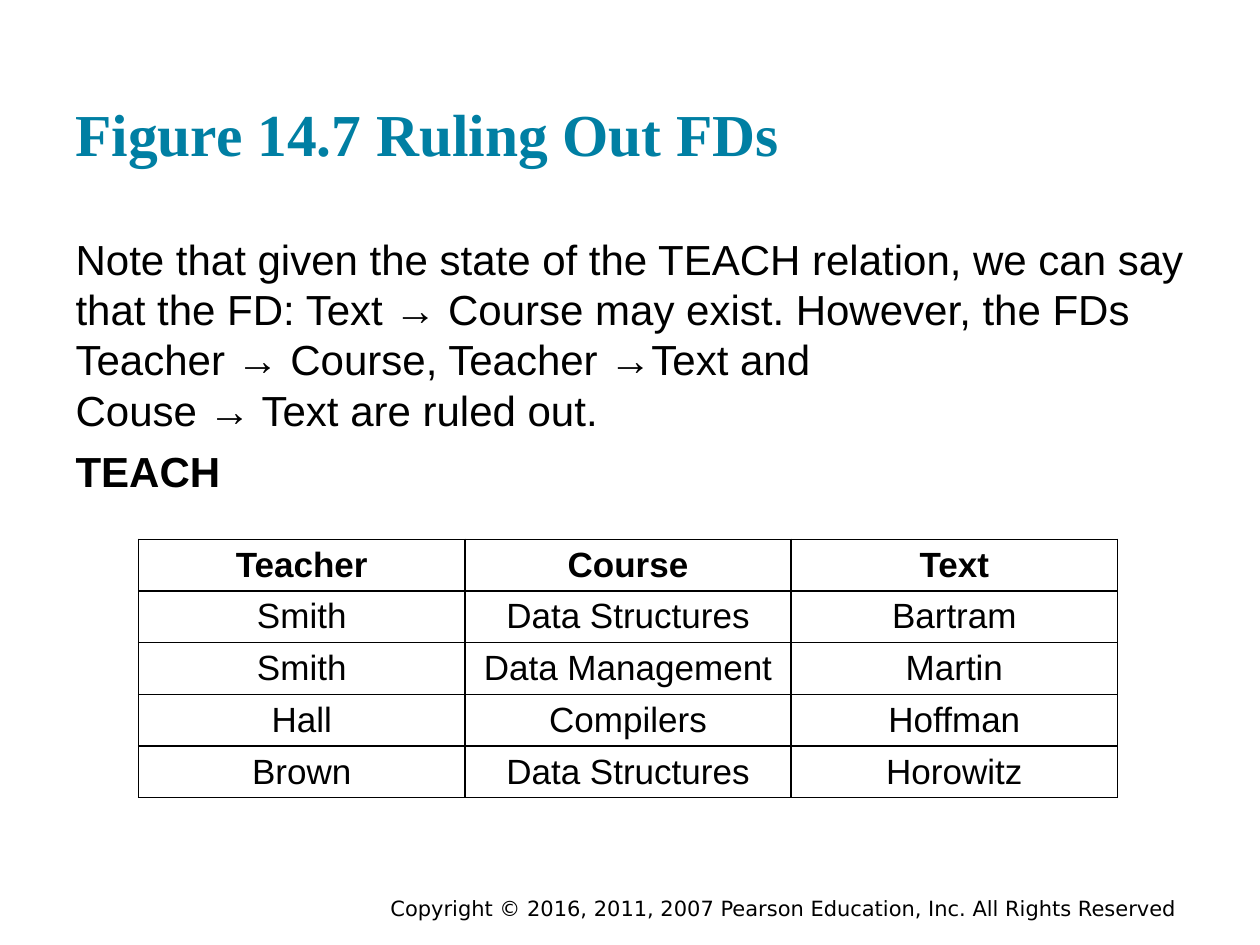
from pptx import Presentation, util as u
from pptx.dml import color
from pptx.enum import text
from pptx.oxml import ns, parse_xml

BLACK = "000000"
TEAL = "007FA3"


def rgb(value):
    return color.RGBColor.from_string(value)


class SlideBuilder:
    body_font = "Arial"
    title_font = "Times New Roman"
    footer_font = "DejaVu Sans"

    def __init__(self, slide):
        self.slide = slide

    def style(self, paragraph, font, size, fill=BLACK, bold=False, align=text.PP_ALIGN.LEFT):
        paragraph.alignment = align
        paragraph.font.name = font
        paragraph.font.size = u.Pt(size)
        paragraph.font.bold = bold
        paragraph.font.color.rgb = rgb(fill)

    def place(self, shape, box, anchor):
        shape.left, shape.top, shape.width, shape.height = map(u.Inches, box)
        frame = shape.text_frame
        frame.auto_size = text.MSO_AUTO_SIZE.NONE
        frame.word_wrap = True
        frame.vertical_anchor = anchor
        frame.margin_left = frame.margin_right = u.Inches(0.1)
        frame.margin_top = frame.margin_bottom = u.Inches(0.1)
        return frame

    def title(self, wording, box):
        frame = self.place(self.slide.shapes.title, box, text.MSO_ANCHOR.BOTTOM)
        frame.text = wording
        self.style(frame.paragraphs[0], self.title_font, 34, TEAL, True)

    def body(self, items, box):
        frame = self.place(self.slide.placeholders[1], box, text.MSO_ANCHOR.TOP)
        frame.text = "\n".join(wording for wording, _, _ in items)
        for paragraph, (_, bold, before) in zip(frame.paragraphs, items):
            properties = paragraph._p.get_or_add_pPr()
            properties.set("marL", "0")
            properties.set("indent", "0")
            properties.append(parse_xml(f"<a:buNone {ns.nsdecls('a')}/>"))
            paragraph.space_before = u.Pt(before)
            self.style(paragraph, self.body_font, 24, bold=bold)

    def border(self, cell):
        properties = cell._tc.get_or_add_tcPr()
        for index, side in enumerate(("lnL", "lnR", "lnT", "lnB")):
            properties.insert(index, parse_xml(
                f'<a:{side} {ns.nsdecls("a")} w="12700"><a:solidFill>'
                f'<a:srgbClr val="{BLACK}"/></a:solidFill></a:{side}>'))

    def table(self, rows, left, top, column_width, row_height):
        count = len(rows[0])
        table = self.slide.shapes.add_table(
            len(rows), count, u.Inches(left), u.Inches(top),
            u.Inches(column_width * count), u.Inches(row_height * len(rows))).table
        table.first_row = table.horz_banding = False
        for row_index, row in enumerate(rows):
            for column_index, wording in enumerate(row):
                cell = table.cell(row_index, column_index)
                cell.text = wording
                cell.fill.background()
                self.border(cell)
                self.style(cell.text_frame.paragraphs[0], self.body_font, 20,
                           bold=row_index == 0, align=text.PP_ALIGN.CENTER)

    def footer(self, wording, box):
        shape = self.slide.shapes.add_textbox(*map(u.Inches, box))
        frame = self.place(shape, box, text.MSO_ANCHOR.MIDDLE)
        frame.margin_top = frame.margin_bottom = 0
        frame.text = wording
        self.style(frame.paragraphs[0], self.footer_font, 12)


def main():
    presentation = Presentation()
    presentation.slide_width = u.Inches(10)
    presentation.slide_height = u.Inches(7.5)
    slide = presentation.slides.add_slide(presentation.slide_layouts[1])
    builder = SlideBuilder(slide)
    builder.title("Figure 14.7 Ruling Out FDs", (0.5, 0.24, 9, 1.2))
    builder.body([
        ("Note that given the state of the TEACH relation, we can say that the FD: "
         "Text → Course may exist. However, the FDs Teacher → Course, "
         "Teacher →Text and", False, 0),
        ("Couse → Text are ruled out.", False, 0),
        ("TEACH", True, 6),
    ], (0.5, 1.75, 9, 2.19))
    builder.table([
        ("Teacher", "Course", "Text"),
        ("Smith", "Data Structures", "Bartram"),
        ("Smith", "Data Management", "Martin"),
        ("Hall", "Compilers", "Hoffman"),
        ("Brown", "Data Structures", "Horowitz"),
    ], 1.1, 4.28, 2.59, 0.41)
    builder.footer("Copyright © 2016, 2011, 2007 Pearson Education, Inc. All Rights Reserved",
                   (3, 7.08, 6.65, 0.25))
    presentation.save("out.pptx")


if __name__ == "__main__":
    main()
